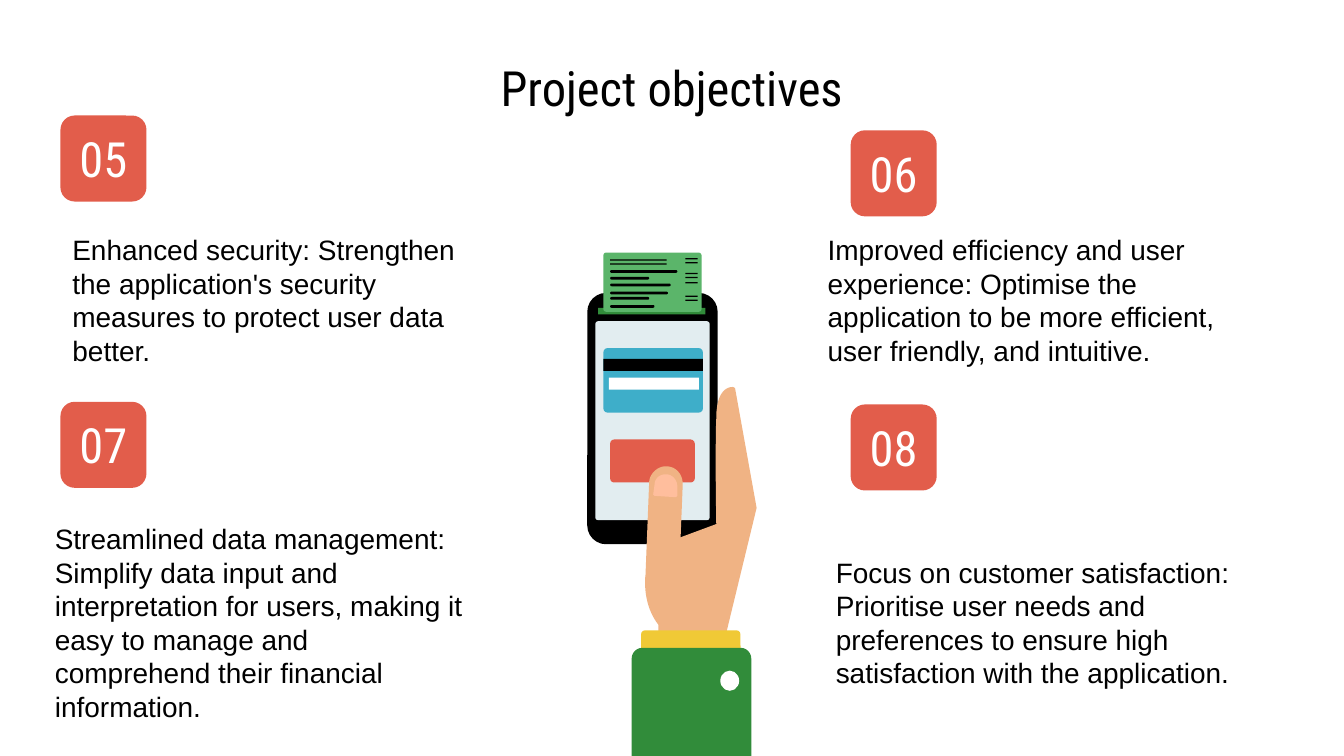
import pptx
import pptx.dml.color
import pptx.enum.shapes
import pptx.enum.text
import pptx.util

Inches = pptx.util.Inches
RGBColor = pptx.dml.color.RGBColor
SHAPE = pptx.enum.shapes.MSO_SHAPE
ALIGN = pptx.enum.text.PP_ALIGN
ANCHOR = pptx.enum.text.MSO_ANCHOR

BLACK = RGBColor(0x00, 0x00, 0x00)
WHITE = RGBColor(0xFF, 0xFF, 0xFF)
RED = RGBColor(0xE2, 0x5D, 0x4B)
SCREEN = RGBColor(0xE2, 0xED, 0xF0)
BLUE = RGBColor(0x3E, 0xAE, 0xC9)
DARK_GREEN = RGBColor(0x31, 0x8C, 0x3A)
LIGHT_GREEN = RGBColor(0x5B, 0xB5, 0x6A)
SKIN = RGBColor(0xF0, 0xB3, 0x84)
NAIL = RGBColor(0xFF, 0xBE, 0x9D)
YELLOW = RGBColor(0xF0, 0xC9, 0x36)

SLIDE_WIDTH = 10
SLIDE_HEIGHT = SLIDE_WIDTH * 9 / 16
HEADING_FONT, BODY_FONT = "Roboto Condensed", "Arial"
BADGE_SIZE = 0.64
TEXT_WIDTH = 3.28
SLEEVE_TOP = 4.82

TITLE = "Project objectives"
# number, badge left and top, text left, top and height, text
OBJECTIVES = [
    ("05", (0.45, 0.86), (0.44, 1.63, 1.21),
     "Enhanced security: Strengthen the application's security measures "
     "to protect user data better."),
    ("06", (6.33, 0.97), (6.06, 1.63, 1.21),
     "Improved efficiency and user experience: Optimise the application "
     "to be more efficient, user friendly, and intuitive."),
    ("07", (0.45, 2.99), (0.31, 3.78, 1.72),
     "Streamlined data management: Simplify data input and interpretation "
     "for users, making it easy to manage and comprehend their financial "
     "information."),
    ("08", (6.33, 3.01), (6.12, 4.03, 1.21),
     "Focus on customer satisfaction: Prioritise user needs and preferences "
     "to ensure high satisfaction with the application."),
]

# left, top, width, height, corner radius, colour
PHONE = [
    (4.37, 2.18, 0.97, 1.87, 0.14, BLACK),
    (4.43, 2.39, 0.85, 1.48, 0.02, SCREEN),
    (4.54, 3.27, 0.63, 0.32, 0.03, RED),
    (4.49, 2.59, 0.74, 0.48, 0.03, BLUE),
    (4.49, 2.67, 0.74, 0.09, 0, BLACK),
    (4.53, 2.81, 0.67, 0.09, 0, WHITE),
    (4.45, 2.29, 0.80, 0.05, 0, DARK_GREEN),
    (4.49, 1.88, 0.73, 0.44, 0.02, LIGHT_GREEN),
]
# top, width
RECEIPT_HEADINGS = [(1.93, 0.42), (1.96, 0.42)]
RECEIPT_ITEMS = [(2.01, 0.50), (2.06, 0.29), (2.11, 0.45),
                 (2.17, 0.43), (2.21, 0.29), (2.27, 0.33)]
RECEIPT_AMOUNT_TOPS = [1.92, 1.95, 2.03, 2.06, 2.10, 2.20, 2.23]

# colour, start, then segments: one point for a line, three for a Bezier curve
HAND = [
    (SKIN, (5.45, 2.88), [
        [(5.42, 2.88), (5.33, 2.90), (5.33, 3.11)],
        [(5.32, 3.36), (5.33, 3.90), (5.33, 3.90)],
        [(4.98, 4.03)], [(4.80, 4.30)], [(4.80, 4.33)],
        [(4.80, 4.45), (4.83, 4.56), (4.90, 4.65)],
        [(4.90, 4.84)], [(5.38, 4.81)], [(5.63, 3.78)], [(5.47, 2.89)],
        [(5.47, 2.89), (5.46, 2.88), (5.45, 2.88)]]),
    (SKIN, (4.95, 3.47), [
        [(4.89, 3.47), (4.83, 3.53), (4.83, 3.59)],
        [(4.80, 4.35)], [(5.05, 4.36)], [(5.08, 3.60)],
        [(5.08, 3.53), (5.03, 3.47), (4.96, 3.47)]]),
    (NAIL, (4.95, 3.53), [
        [(4.91, 3.53), (4.87, 3.56), (4.87, 3.61)],
        [(4.86, 3.68)], [(4.87, 3.69)], [(5.03, 3.70)], [(5.04, 3.69)],
        [(5.04, 3.62)],
        [(5.04, 3.57), (5.00, 3.53), (4.96, 3.53)]]),
]


def paint(shape, colour):
    shape.shadow.inherit = False
    shape.fill.solid()
    shape.fill.fore_color.rgb = colour
    shape.line.fill.background()


def add_block(shapes, left, top, width, height, radius, colour, kind=None):
    if kind is None:
        kind = SHAPE.ROUNDED_RECTANGLE if radius else SHAPE.RECTANGLE
    block = shapes.add_shape(kind, Inches(left), Inches(top),
                             Inches(width), Inches(height))
    if radius:
        block.adjustments[0] = radius / min(width, height)
    paint(block, colour)
    return block


def flatten(start, segments, steps=12):
    """Return the outline's points in EMU, with curves split into short lines."""
    points, here = [], start
    for segment in segments:
        if len(segment) == 1:
            points.append(segment[0])
        else:
            corners = [here, *segment]
            for step in range(1, steps + 1):
                t = step / steps
                weights = ((1 - t) ** 3, 3 * t * (1 - t) ** 2,
                           3 * t ** 2 * (1 - t), t ** 3)
                points.append(tuple(
                    sum(w * corner[axis] for w, corner in zip(weights, corners))
                    for axis in (0, 1)))
        here = segment[-1]
    return [(Inches(x), Inches(y)) for x, y in points]


def add_outline(shapes, colour, start, segments):
    builder = shapes.build_freeform(Inches(start[0]), Inches(start[1]), 1.0)
    builder.add_line_segments(flatten(start, segments), close=True)
    paint(builder.convert_to_shape(), colour)


def write(shape, text, font, size, colour, align, anchor, insets):
    frame = shape.text_frame
    frame.word_wrap = True
    frame.vertical_anchor = anchor
    (frame.margin_left, frame.margin_top,
     frame.margin_right, frame.margin_bottom) = map(Inches, insets)
    paragraph = frame.paragraphs[0]
    paragraph.alignment = align
    run = paragraph.add_run()
    run.text = text
    run.font.name = font
    run.font.size = pptx.util.Pt(size)
    run.font.color.rgb = colour


def add_text(slide, box, *style):
    write(slide.shapes.add_textbox(*map(Inches, box)), *style, (0.1,) * 4)


def draw_illustration(shapes):
    for part in PHONE:
        add_block(shapes, *part)
    for top, width in RECEIPT_HEADINGS:
        add_block(shapes, 4.54, top, width, 0.01, 0, BLACK)
    for top, width in RECEIPT_ITEMS:
        add_block(shapes, 4.54, top, width, 0.02, 0.01, BLACK)
    for top in RECEIPT_AMOUNT_TOPS:
        add_block(shapes, 5.1, top, 0.09, 0.01, 0, BLACK)
    for outline in HAND:
        add_outline(shapes, *outline)
    add_block(shapes, 4.77, 4.69, 0.74, 0.21, 0.03, YELLOW)
    add_block(shapes, 4.7, SLEEVE_TOP, 0.89, SLIDE_HEIGHT - SLEEVE_TOP, 0.08,
              DARK_GREEN, SHAPE.ROUND_2_SAME_RECTANGLE)
    add_block(shapes, 5.36, 4.99, 0.14, 0.15, 0, WHITE, SHAPE.OVAL)


def main():
    deck = pptx.Presentation()
    deck.slide_width = Inches(SLIDE_WIDTH)
    deck.slide_height = Inches(SLIDE_HEIGHT)
    slide = deck.slides.add_slide(deck.slide_layouts[6])

    add_text(slide, (0.45, 0.33, 9.1, 0.63), TITLE, HEADING_FONT, 26, BLACK,
             ALIGN.CENTER, ANCHOR.MIDDLE)
    draw_illustration(slide.shapes.add_group_shape().shapes)
    for number, badge_at, (left, top, height), text in OBJECTIVES:
        add_text(slide, (left, top, TEXT_WIDTH, height), text, BODY_FONT, 15,
                 BLACK, ALIGN.LEFT, ANCHOR.TOP)
        badge = add_block(slide.shapes, *badge_at, BADGE_SIZE, BADGE_SIZE,
                          BADGE_SIZE / 6, RED)
        write(badge, number, HEADING_FONT, 26, WHITE, ALIGN.CENTER,
              ANCHOR.MIDDLE, (0, 0.1, 0, 0.11))
    deck.save("out.pptx")


if __name__ == "__main__":
    main()
